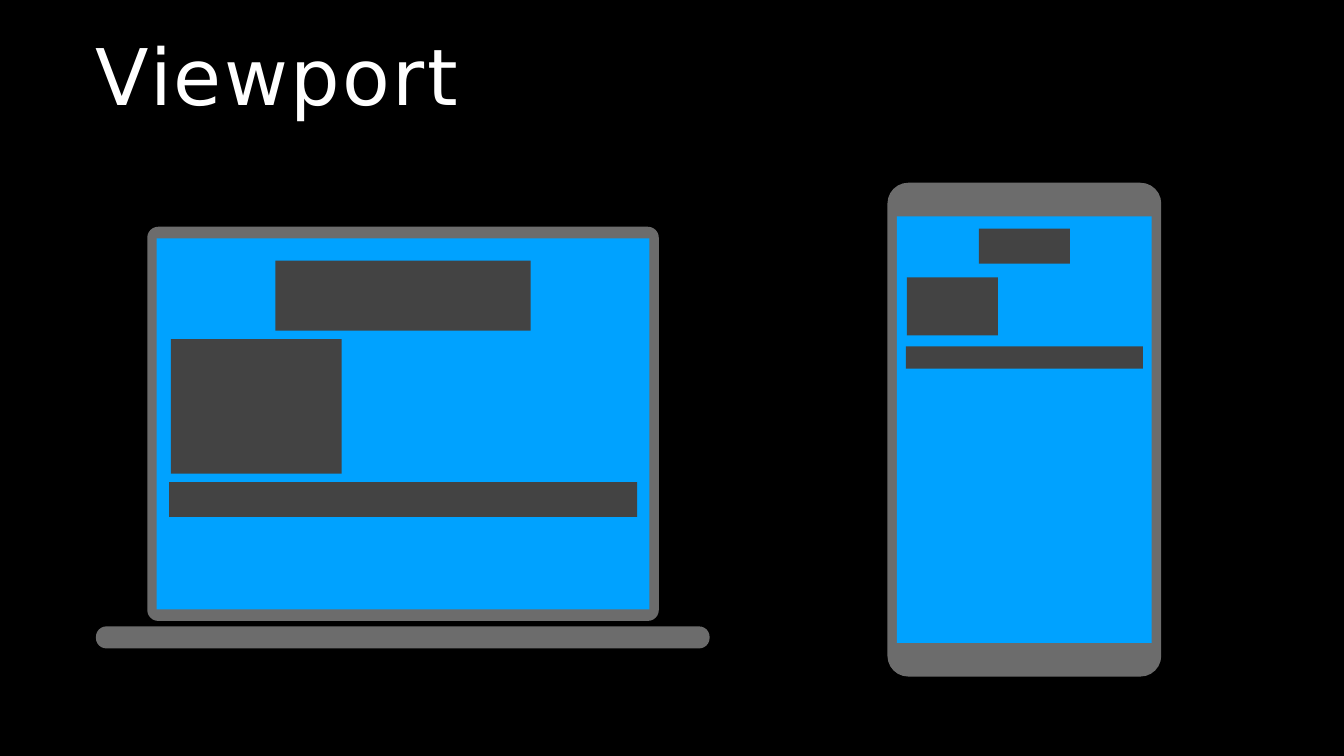
from pptx import Presentation
from pptx.dml.color import RGBColor
from pptx.enum.shapes import MSO_SHAPE
from pptx.enum.text import MSO_ANCHOR
from pptx.util import Inches, Pt

BLACK = RGBColor(0x00, 0x00, 0x00)
WHITE = RGBColor(0xFF, 0xFF, 0xFF)
CASE_GRAY = RGBColor(0x6C, 0x6C, 0x6C)
SCREEN_BLUE = RGBColor(0x00, 0xA2, 0xFF)
BLOCK_GRAY = RGBColor(0x43, 0x43, 0x43)

# Content: boxes are left, top, width, height in inches
SLIDE_SIZE = (21.99, 12.37)
TITLE = "Viewport"
TITLE_BOX = (1.55, 0.43, 5.99, 1.57)
LAPTOP_BASE = (1.57, 10.25, 10.04, 0.36)
BASE_RADIUS = 0.17

# Page blocks are left, top, width, height in percent of the screen;
# a left of None centres the block
DEVICES = [
    {   # laptop
        "case": (2.41, 3.71, 8.37, 6.45),
        "radius": 0.18,
        "screen_size": (8.06, 6.07),
        "blocks": [(2.85, 27.2, 34.7, 36.2), (None, 6, 51.8, 18.9), (None, 65.7, 95, 9.4)],
    },
    {   # phone
        "case": (14.52, 2.99, 4.48, 8.08),
        "radius": 0.34,
        "screen_size": (4.17, 6.98),
        "blocks": [(3.9, 14.3, 35.7, 13.6), (None, 2.9, 35.7, 8.2), (None, 30.5, 93, 5.2)],
    },
]


def paint(shape, color):
    shape.shadow.inherit = False
    shape.fill.solid()
    shape.fill.fore_color.rgb = color
    shape.line.fill.background()


def add_box(shapes, box, color, radius=0):
    kind = MSO_SHAPE.ROUNDED_RECTANGLE if radius else MSO_SHAPE.RECTANGLE
    shape = shapes.add_shape(kind, *map(Inches, box))
    if radius:
        shape.adjustments[0] = radius / min(box[2:])
    paint(shape, color)


def centred_box(outer, size):
    left, top, width, height = outer
    return (left + (width - size[0]) / 2, top + (height - size[1]) / 2, *size)


def block_corners(screen, block):
    left, top, width, height = block
    if left is None:
        left = (100 - width) / 2
    corners = [(left, top), (left, top + height),
               (left + width, top + height), (left + width, top)]
    return [(Inches(screen[0] + screen[2] * x / 100), Inches(screen[1] + screen[3] * y / 100))
            for x, y in corners]


def add_page(shapes, screen, blocks):
    """Draw all blocks of the page as the outlines of one shape."""
    outlines = [block_corners(screen, block) for block in blocks]
    builder = shapes.build_freeform(*outlines[0][0])
    for outline in outlines:
        if outline is not outlines[0]:
            builder.move_to(*outline[0])
        builder.add_line_segments(outline[1:], close=True)
    paint(builder.convert_to_shape(), BLOCK_GRAY)


def add_device(slide, device):
    shapes = slide.shapes.add_group_shape().shapes
    screen = centred_box(device["case"], device["screen_size"])
    add_box(shapes, device["case"], CASE_GRAY, device["radius"])
    add_box(shapes, screen, SCREEN_BLUE)
    add_page(shapes, screen, device["blocks"])


def add_title(slide):
    text_frame = slide.shapes.add_textbox(*map(Inches, TITLE_BOX)).text_frame
    text_frame.word_wrap = True
    text_frame.vertical_anchor = MSO_ANCHOR.TOP
    text_frame.margin_left = Inches(0.02)
    text_frame.margin_top = Inches(0.02)
    text_frame.margin_right = text_frame.margin_bottom = 0
    text_frame.text = TITLE
    paragraph = text_frame.paragraphs[0]
    paragraph.space_before = Pt(1.4)
    run = paragraph.runs[0]
    run.font.name = "DejaVu Sans"
    run.font.size = Pt(92)
    run.font.color.rgb = WHITE
    run.font._element.set("spc", "280")  # letter spacing, 2.8 points


def main():
    presentation = Presentation()
    presentation.slide_width, presentation.slide_height = map(Inches, SLIDE_SIZE)
    slide = presentation.slides.add_slide(presentation.slide_layouts[6])

    # Backdrop, title, laptop base, then the two devices
    add_box(slide.shapes, (0, 0, *SLIDE_SIZE), BLACK)
    add_title(slide)
    add_box(slide.shapes, LAPTOP_BASE, CASE_GRAY, BASE_RADIUS)
    for device in DEVICES:
        add_device(slide, device)

    presentation.save("out.pptx")


if __name__ == "__main__":
    main()
